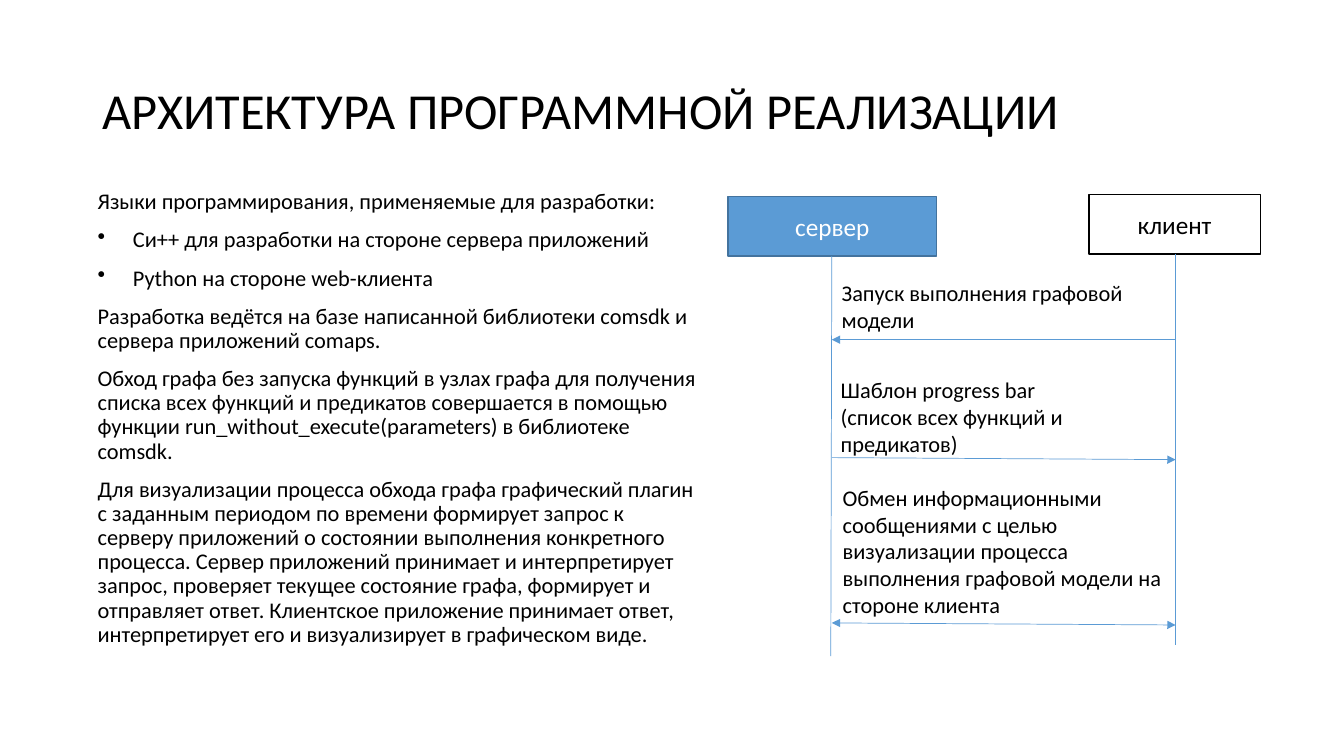
from dataclasses import dataclass

from lxml.etree import SubElement
from pptx import Presentation
from pptx.dml.color import RGBColor
from pptx.enum.shapes import MSO_CONNECTOR, MSO_SHAPE
from pptx.enum.text import MSO_ANCHOR, MSO_AUTO_SIZE, PP_ALIGN
from pptx.oxml.ns import qn
from pptx.util import Inches, Pt


@dataclass(frozen=True)
class Theme:
    font: str = "Calibri"
    black: RGBColor = RGBColor(0x00, 0x00, 0x00)
    white: RGBColor = RGBColor(0xFF, 0xFF, 0xFF)
    blue: RGBColor = RGBColor(0x5B, 0x9B, 0xD5)
    dark_blue: RGBColor = RGBColor(0x43, 0x73, 0x9E)
    title_size: Pt = Pt(36)
    box_size: Pt = Pt(18)
    text_size: Pt = Pt(16)
    box_line: Pt = Pt(1)
    thin_line: Pt = Pt(0.5)


class SlideBuilder:
    def __init__(self, slide, theme):
        self.slide = slide
        self.theme = theme

    def style(self, paragraph, size, color, align=PP_ALIGN.LEFT):
        paragraph.alignment = align
        paragraph.font.name = self.theme.font
        paragraph.font.size = size
        paragraph.font.color.rgb = color

    def title(self, text, left, top, width, height):
        shape = self.slide.shapes.title
        shape.left, shape.top = Inches(left), Inches(top)
        shape.width, shape.height = Inches(width), Inches(height)
        frame = shape.text_frame
        frame.text = text
        frame.auto_size = MSO_AUTO_SIZE.NONE
        frame.vertical_anchor = MSO_ANCHOR.MIDDLE
        frame.paragraphs[0].line_spacing = 0.9
        self.style(frame.paragraphs[0], self.theme.title_size, self.theme.black)

    def text(self, lines, left, top, width, height):
        shape = self.slide.shapes.add_textbox(
            Inches(left), Inches(top), Inches(width), Inches(height))
        frame = shape.text_frame
        frame.word_wrap = True
        frame.text = "\n".join(lines)
        for paragraph in frame.paragraphs:
            self.style(paragraph, self.theme.text_size, self.theme.black)
        return frame.paragraphs

    def bullet(self, paragraph, indent):
        properties = paragraph._p.get_or_add_pPr()
        properties.set("marL", str(Inches(indent)))
        properties.set("indent", str(-Inches(indent)))
        mark = properties.makeelement(qn("a:buChar"), {"char": "•"})
        properties.find(qn("a:defRPr")).addprevious(mark)

    def box(self, text, left, top, width, height, fill, line, color):
        shape = self.slide.shapes.add_shape(
            MSO_SHAPE.RECTANGLE,
            Inches(left), Inches(top), Inches(width), Inches(height))
        shape.shadow.inherit = False
        shape.fill.solid()
        shape.fill.fore_color.rgb = fill
        shape.line.color.rgb = line
        shape.line.width = self.theme.box_line
        shape.text_frame.text = text
        shape.text_frame.vertical_anchor = MSO_ANCHOR.MIDDLE
        self.style(shape.text_frame.paragraphs[0], self.theme.box_size,
                   color, PP_ALIGN.CENTER)

    def line(self, start, end, arrow_ends=()):
        connector = self.slide.shapes.add_connector(
            MSO_CONNECTOR.STRAIGHT, *map(Inches, (*start, *end)))
        connector.line.color.rgb = self.theme.blue
        connector.line.width = self.theme.thin_line
        outline = connector.line._get_or_add_ln()
        for arrow_end in arrow_ends:
            SubElement(outline, qn(f"a:{arrow_end}"), type="triangle")
        SubElement(connector._element.spPr, qn("a:effectLst"))


presentation = Presentation()
presentation.slide_width = Inches(13.33)
presentation.slide_height = Inches(7.5)
theme = Theme()
builder = SlideBuilder(
    presentation.slides.add_slide(presentation.slide_layouts[5]), theme)

# Title
builder.title("АРХИТЕКТУРА ПРОГРАММНОЙ РЕАЛИЗАЦИИ", 0.92, 0.4, 11.5, 1.45)

# Description on the left
description = [
    "Языки программирования, применяемые для разработки:",
    "Си++ для разработки на стороне сервера приложений",
    "Python на стороне web-клиента",
    "Разработка ведётся на базе написанной библиотеки comsdk и сервера "
    "приложений comaps.",
    "Обход графа без запуска функций в узлах графа для получения списка всех "
    "функций и предикатов совершается в помощью функции "
    "run_without_execute(parameters) в библиотеке comsdk.",
    "Для визуализации процесса обхода графа графический плагин с заданным "
    "периодом по времени формирует запрос к серверу приложений о состоянии "
    "выполнения конкретного процесса. Сервер приложений принимает и "
    "интерпретирует запрос, проверяет текущее состояние графа, формирует и "
    "отправляет ответ. Клиентское приложение принимает ответ, интерпретирует "
    "его и визуализирует в графическом виде.",
]
paragraphs = builder.text(description, 0.87, 1.84, 6.19, 4.67)
for paragraph in paragraphs:
    paragraph.line_spacing = 0.9
    paragraph.space_before = Pt(10)
for paragraph in paragraphs[1:3]:
    builder.bullet(paragraph, 0.35)

# Participants and their lifelines
server_x, client_x = 8.25, 11.66
builder.box("клиент", 10.8, 1.93, 1.7, 0.59,
            theme.white, theme.black, theme.black)
builder.box("сервер", 7.22, 1.95, 2.07, 0.59,
            theme.blue, theme.dark_blue, theme.white)
builder.line((server_x, 2.54), (8.24, 6.51))
builder.line((client_x, 2.52), (client_x, 6.4))

# Messages: server-side y, client-side y, arrow ends, label, label place
messages = [
    (3.37, 3.37, ["headEnd"], ["Запуск выполнения графовой модели"],
     (8.25, 2.72, 3.28, 0.64)),
    (4.54, 4.56, ["tailEnd"],
     ["Шаблон progress bar", "(список всех функций и предикатов)"],
     (8.24, 3.68, 3.27, 0.91)),
    (6.18, 6.2, ["headEnd", "tailEnd"],
     ["Обмен информационными сообщениями с целью визуализации процесса "
      "выполнения графовой модели на стороне клиента"],
     (8.26, 4.75, 3.59, 1.45)),
]
for server_y, client_y, arrow_ends, label, place in messages:
    builder.line((server_x, server_y), (client_x, client_y), arrow_ends)
    builder.text(label, *place)

presentation.save("out.pptx")
